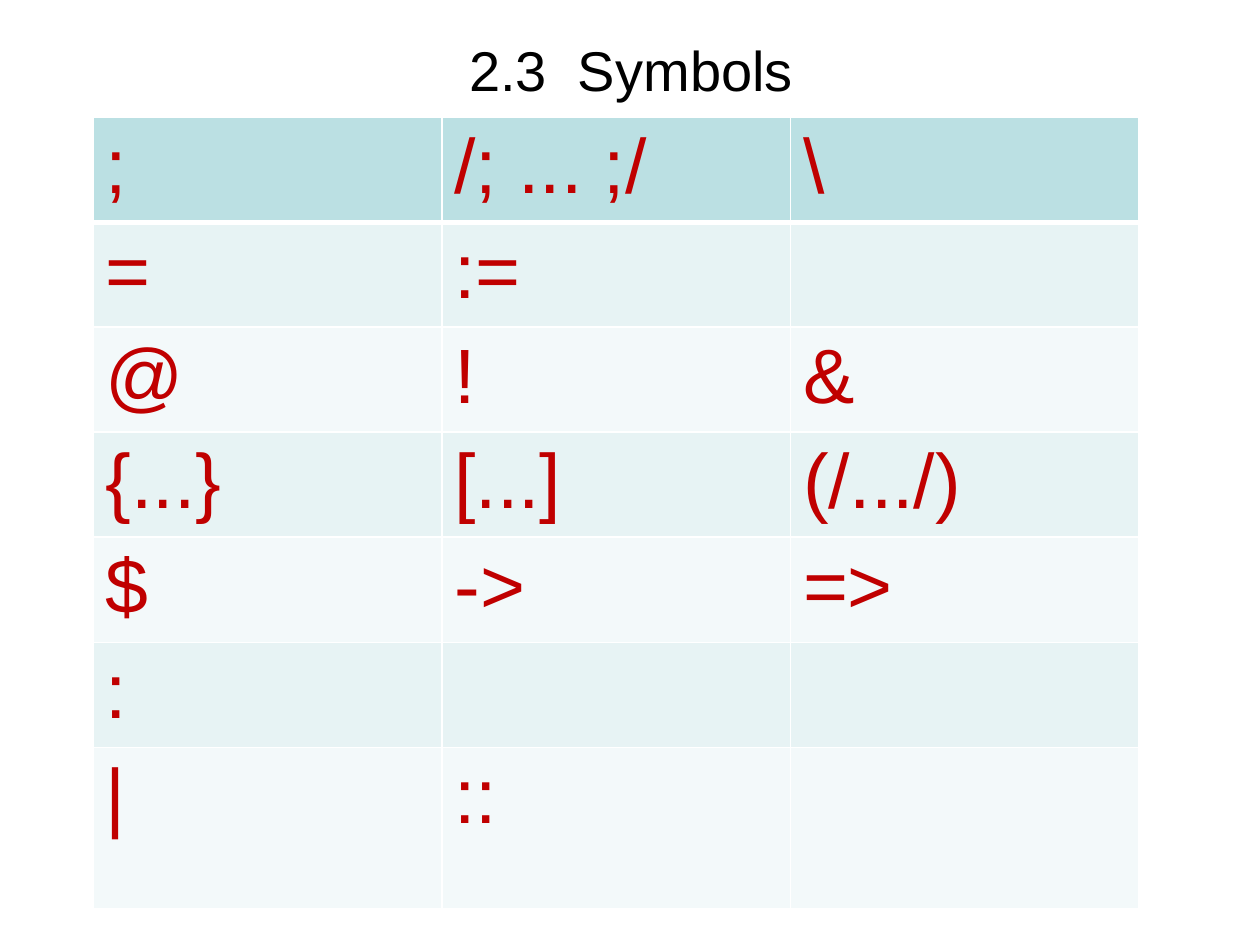
import pptx
import pptx.dml.color
import pptx.enum.text
import pptx.oxml.ns
import pptx.util
import lxml.etree

Inches = pptx.util.Inches
Pt = pptx.util.Pt

SYMBOLS = [
    [";", "/; ... ;/", "\\"],
    ["= ", ":= ", ""],
    ["@", "!", "&"],
    ["{...} ", "[...]", "(/.../)"],
    ["$", "->", "=>"],
    [":", "", ""],
    ["|", "::", ""],
]
HEAD, BANDS = "BBE0E3", ["F3F9FA", "E7F3F4"]
TITLE = {"name": "Arial", "size": Pt(32)}
SYMBOL = {"name": "Arial", "size": Pt(44)}


def paint(color, value):
    """Give a colour format its hex value."""
    color.rgb = pptx.dml.color.RGBColor.from_string(value)


def write(frame, text, style, color):
    """Put styled text into the first paragraph of a frame."""
    run = frame.paragraphs[0].add_run()
    run.text = text
    for key, value in style.items():
        setattr(run.font, key, value)
    paint(run.font.color, color)


def edge(cell, widths):
    """Draw white borders of the given point widths on a cell."""
    tag = pptx.oxml.ns.qn
    props = cell._tc.get_or_add_tcPr()
    for side, width in widths.items():
        line = lxml.etree.SubElement(props, tag("a:ln" + side), w=str(Pt(width)))
        fill = lxml.etree.SubElement(line, tag("a:solidFill"))
        lxml.etree.SubElement(fill, tag("a:srgbClr"), val="FFFFFF")


def title(slide, box, text):
    """Place the centred slide title in a box."""
    frame = slide.shapes.add_textbox(*map(Inches, box)).text_frame
    frame.word_wrap = True
    frame.vertical_anchor = pptx.enum.text.MSO_ANCHOR.MIDDLE
    frame.paragraphs[0].alignment = pptx.enum.text.PP_ALIGN.CENTER
    write(frame, text, TITLE, "000000")


def grid(slide, box, rows, step):
    """Place the symbol table in a box, its last row taking the spare height."""
    count = len(rows)
    table = slide.shapes.add_table(count, len(rows[0]), *map(Inches, box)).table
    for r, texts in enumerate(rows):
        last = r == count - 1
        table.rows[r].height = Inches(box[3] - step * r if last else step)
        for c, text in enumerate(texts):
            cell = table.cell(r, c)
            edge(cell, {"L": 1, "R": 1, "T": 1, "B": 1 if r else 3})
            cell.fill.solid()
            paint(cell.fill.fore_color, BANDS[r % 2] if r else HEAD)
            if text:
                write(cell.text_frame, text, SYMBOL, "C00000")


def main():
    """Build and save the symbols slide."""
    deck = pptx.Presentation()
    deck.slide_width, deck.slide_height = Inches(10), Inches(7.5)
    slide = deck.slides.add_slide(deck.slide_layouts[6])
    title(slide, (0.51, 0.15, 9, 0.79), "2.3  Symbols")
    grid(slide, (0.74, 0.93, 8.3, 6.02), SYMBOLS, 0.79)
    deck.save("out.pptx")


main()
